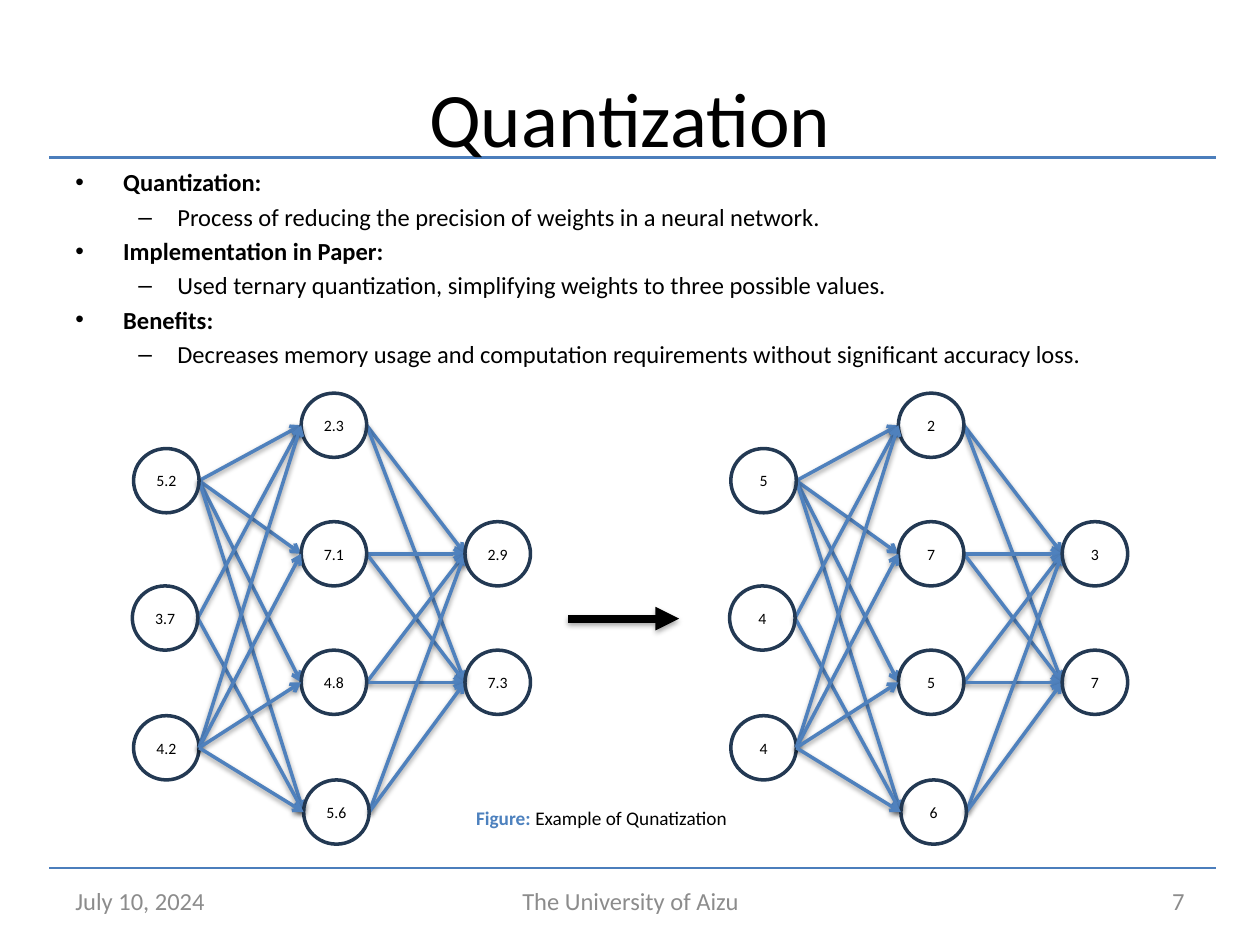
"""Build a slide that explains quantization with two small neural networks."""
from dataclasses import dataclass

from lxml import etree
from pptx import Presentation
from pptx import util as u
from pptx.dml.color import RGBColor
from pptx.enum import shapes, text
from pptx.oxml.ns import qn

TITLE = "Quantization"
POINTS = [
    ("Quantization:", "Process of reducing the precision of weights in a neural network."),
    ("Implementation in Paper:", "Used ternary quantization, simplifying weights to three possible values."),
    ("Benefits:", "Decreases memory usage and computation requirements without significant accuracy loss."),
]
CAPTION = ("Figure: ", "Example of Qunatization")
FOOTERS = [
    ("July 10, 2024", (0.5, 6.95, 2.33, 0.4), text.PP_ALIGN.LEFT),
    ("The University of Aizu", (3.42, 6.95, 3.17, 0.4), text.PP_ALIGN.CENTER),
    ("7", (7.17, 6.95, 2.33, 0.4), text.PP_ALIGN.RIGHT),
]
RULES = [(6.89, 1.5), (1.25, 2.25)]
NODES = {
    "in1": (1.06, 3.56), "in2": (1.05, 4.65), "in3": (1.06, 5.68),
    "hidden1": (2.39, 3.12), "hidden2": (2.39, 4.14), "hidden3": (2.39, 5.16), "hidden4": (2.41, 6.19),
    "out1": (3.69, 4.14), "out2": (3.69, 5.16),
}
HIDDEN = ["hidden1", "hidden2", "hidden3", "hidden4"]
LINKS_BEHIND = {
    **{name: ["out1", "out2"] for name in HIDDEN},
    "in1": HIDDEN,
    "in2": ["hidden1", "hidden4"],
}
LINKS_IN_FRONT = {"in3": HIDDEN}
NETWORKS = [
    (0, ["5.2", "3.7", "4.2", "2.3", "7.1", "4.8", "5.6", "2.9", "7.3"]),
    (4.74, ["5", "4", "4", "2", "7", "5", "6", "3", "7"]),
]
NODE_WIDTH, NODE_HEIGHT = 0.52, 0.51


@dataclass(frozen=True)
class Theme:
    font: str = "Calibri"
    black: str = "000000"
    rule: str = "4B7EBC"
    link: str = "4F81BD"
    node: str = "233953"
    label: str = "4D81BE"
    muted: str = "8C8C8C"
    title_size: float = 44
    body_size: float = 14
    caption_size: float = 11
    node_size: float = 9


THEME = Theme()


def format_run(run, size, color=THEME.black, bold=False):
    run.font.name = THEME.font
    run.font.size = u.Pt(size)
    run.font.bold = bold
    run.font.color.rgb = RGBColor.from_string(color)


def add_text_box(slide, box, anchor=text.MSO_ANCHOR.TOP):
    frame = slide.shapes.add_textbox(*map(u.Inches, box)).text_frame
    frame.word_wrap = True
    frame.vertical_anchor = anchor
    return frame


def add_label(slide, words, box, size, color, alignment):
    frame = add_text_box(slide, box, text.MSO_ANCHOR.MIDDLE)
    frame.text = words
    paragraph = frame.paragraphs[0]
    paragraph.alignment = alignment
    format_run(paragraph.runs[0], size, color)


def add_line(parent, start, end, color, width, head=None, opacity=38):
    line = parent.shapes.add_connector(
        shapes.MSO_CONNECTOR.STRAIGHT, *map(u.Inches, (*start, *end)))
    line.line.color.rgb = RGBColor.from_string(color)
    line.line.width = u.Pt(width)
    properties = line._element.spPr
    effects = etree.SubElement(properties, qn("a:effectLst"))
    if head:
        etree.SubElement(properties.find(qn("a:ln")), qn("a:tailEnd"), type=head)
        shadow = etree.SubElement(effects, qn("a:outerShdw"), blurRad=str(u.Pt(3.1)),
                                  dist=str(u.Pt(1.6)), dir="5400000", rotWithShape="0")
        shade = etree.SubElement(shadow, qn("a:srgbClr"), val=THEME.black)
        etree.SubElement(shade, qn("a:alpha"), val=str(opacity * 1000))


def add_bullet(paragraph, words, symbol, margin, hanging, level, bold):
    paragraph.text = words
    paragraph.level = level
    paragraph.space_before = u.Pt(THEME.body_size * 0.2)
    format_run(paragraph.runs[0], THEME.body_size, bold=bold)
    properties = paragraph._p.get_or_add_pPr()
    properties.set("marL", str(u.Inches(margin)))
    properties.set("indent", str(u.Inches(-hanging)))
    etree.SubElement(properties, qn("a:buFont"), typeface="Arial")
    etree.SubElement(properties, qn("a:buChar"), char=symbol)


def add_points(slide):
    frame = add_text_box(slide, (0.5, 1.28, 9, 4.95))
    for index, (heading, detail) in enumerate(POINTS):
        first = frame.add_paragraph() if index else frame.paragraphs[0]
        add_bullet(first, heading, "•", 0.38, 0.38, 0, True)
        add_bullet(frame.add_paragraph(), detail, "–", 0.81, 0.31, 1, False)


def add_node(group, left, top, value):
    shape = group.shapes.add_shape(
        shapes.MSO_SHAPE.OVAL, *map(u.Inches, (left, top, NODE_WIDTH, NODE_HEIGHT)))
    shape.shadow.inherit = False
    shape.fill.background()
    shape.line.color.rgb = RGBColor.from_string(THEME.node)
    shape.line.width = u.Pt(2)
    frame = shape.text_frame
    frame.margin_left = frame.margin_right = 0
    frame.vertical_anchor = text.MSO_ANCHOR.MIDDLE
    frame.text = value
    paragraph = frame.paragraphs[0]
    paragraph.alignment = text.PP_ALIGN.CENTER
    format_run(paragraph.runs[0], THEME.node_size)


def add_links(group, links, offset):
    for source, targets in links.items():
        left, top = NODES[source]
        start = (left + offset + NODE_WIDTH, top + NODE_HEIGHT / 2)
        for target in targets:
            left, top = NODES[target]
            end = (left + offset, top + NODE_HEIGHT / 2)
            add_line(group, start, end, THEME.link, 2, "arrow")


def add_network(slide, offset, values):
    group = slide.shapes.add_group_shape()
    add_links(group, LINKS_BEHIND, offset)
    for (left, top), value in zip(NODES.values(), values):
        add_node(group, left + offset, top, value)
    add_links(group, LINKS_IN_FRONT, offset)


def add_caption(slide):
    paragraph = add_text_box(slide, (3.68, 6.35, 2.44, 0.29)).paragraphs[0]
    for words, color, bold in zip(CAPTION, (THEME.label, THEME.black), (True, False)):
        run = paragraph.add_run()
        run.text = words
        format_run(run, THEME.caption_size, color, bold)


def main():
    presentation = Presentation()
    presentation.slide_width, presentation.slide_height = u.Inches(10), u.Inches(7.5)
    slide = presentation.slides.add_slide(presentation.slide_layouts[6])
    for height, width in RULES:
        add_line(slide, (0.39, height), (9.65, height), THEME.rule, width)
    add_label(slide, TITLE, (0.5, 0.3, 9, 1.25), THEME.title_size, THEME.black, text.PP_ALIGN.CENTER)
    add_points(slide)
    for words, box, alignment in FOOTERS:
        add_label(slide, words, box, THEME.body_size, THEME.muted, alignment)
    for offset, values in NETWORKS:
        add_network(slide, offset, values)
    add_line(slide, (4.51, 4.91), (5.39, 4.91), THEME.black, 4.5, "triangle", 35)
    add_caption(slide)
    presentation.save("out.pptx")


if __name__ == "__main__":
    main()
